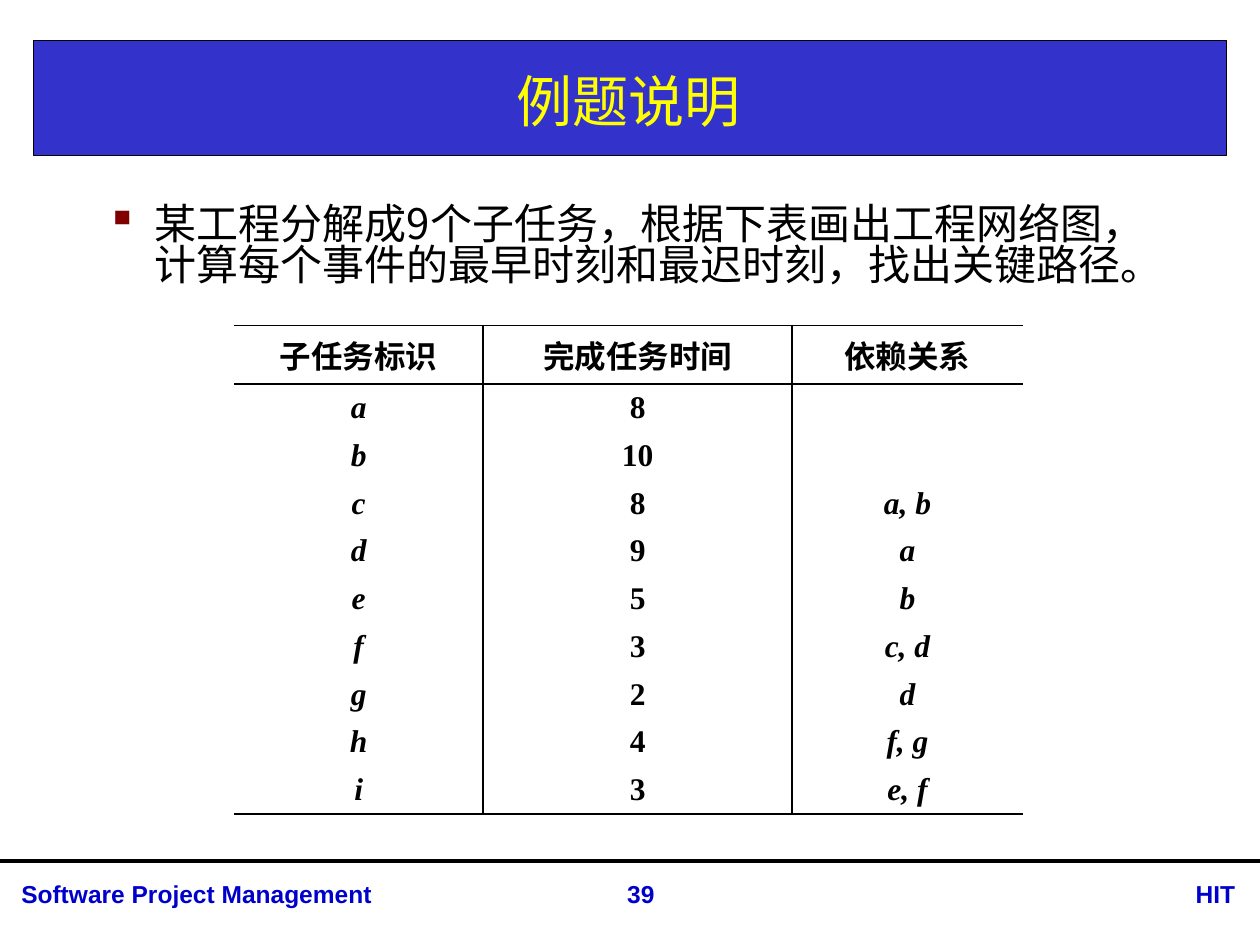
import lxml.etree
import pptx
import pptx.dml.color
import pptx.enum.shapes
import pptx.enum.text
import pptx.oxml.ns
import pptx.util

Cm = pptx.util.Cm
Pt = pptx.util.Pt
ALIGN = pptx.enum.text.PP_ALIGN
MIDDLE = pptx.enum.text.MSO_ANCHOR.MIDDLE
CJK = "Noto Sans CJK SC"
SERIF = "Times New Roman"
BLACK = "000000"

HEADINGS = ("子任务标识", "完成任务时间", "依赖关系")
TASKS = (
    ("a", "8", ""),
    ("b", "10", ""),
    ("c", "8", "a, b"),
    ("d", "9", "a"),
    ("e", "5", "b"),
    ("f", "3", "c, d"),
    ("g", "2", "d"),
    ("h", "4", "f, g"),
    ("i", "3", "e, f"),
)


def color(code):
    return pptx.dml.color.RGBColor.from_string(code)


def add_element(parent, tag, **attributes):
    return lxml.etree.SubElement(parent, pptx.oxml.ns.qn(tag), **attributes)


def style(paragraph, size, face, code, align=ALIGN.LEFT, bold=False, italic=False):
    paragraph.alignment = align
    font = paragraph.font
    font.size = Pt(size)
    font.name = face
    font.bold = bold
    font.italic = italic
    font.color.rgb = color(code)
    defaults = paragraph._p.pPr.find(pptx.oxml.ns.qn("a:defRPr"))
    add_element(defaults, "a:ea", typeface=CJK)


def add_text(slide, text, left, top, width, height):
    frame = slide.shapes.add_textbox(Cm(left), Cm(top), Cm(width), Cm(height)).text_frame
    frame.word_wrap = True
    frame.text = text
    return frame


def add_title(slide, title):
    banner = slide.shapes.add_shape(
        pptx.enum.shapes.MSO_SHAPE.RECTANGLE, Cm(0.67), Cm(0.82), Cm(24.06), Cm(2.31))
    banner.shadow.inherit = False
    banner.fill.solid()
    banner.fill.fore_color.rgb = color("3333CC")
    banner.line.color.rgb = color(BLACK)
    banner.line.width = Pt(0.75)
    frame = add_text(slide, title, 0.67, 0.92, 24, 2.21)
    frame.vertical_anchor = MIDDLE
    style(frame.paragraphs[0], 32, CJK, "FFFF00", ALIGN.CENTER)


def add_bullet(slide, exercise):
    paragraph = add_text(slide, exercise, 1.9, 4.04, 22, 2.5).paragraphs[0]
    paragraph.line_spacing = 0.82
    properties = paragraph._p.get_or_add_pPr()
    properties.set("marL", str(Cm(0.97)))
    properties.set("indent", str(-Cm(0.97)))
    bullet_color = add_element(properties, "a:buClr")
    add_element(bullet_color, "a:srgbClr", val="800000")
    add_element(properties, "a:buChar", char="▪")
    style(paragraph, 24, CJK, BLACK)


def add_borders(cell, sides):
    properties = cell._tc.get_or_add_tcPr()
    for side in "LRTB":
        if side in sides:
            border = add_element(properties, f"a:ln{side}", w=str(Pt(1)))
            fill = add_element(border, "a:solidFill")
            add_element(fill, "a:srgbClr", val=BLACK)
        else:
            border = add_element(properties, f"a:ln{side}", w="0")
            add_element(border, "a:noFill")


def border_sides(row, column, last_row, last_column):
    sides = "L" if column > 0 else ""
    if column < last_column:
        sides += "R"
    if row <= 1:
        sides += "T"
    if row in (0, last_row):
        sides += "B"
    return sides


def add_task_table(slide):
    rows = (HEADINGS,) + TASKS
    widths = (5.02, 6.23, 4.65)
    heights = [1.18] + [0.96] * len(TASKS)
    table = slide.shapes.add_table(
        len(rows), len(widths), Cm(4.72), Cm(6.56), Cm(sum(widths)), Cm(sum(heights))).table
    table.first_row = False
    table.horz_banding = False
    for column, width in zip(table.columns, widths):
        column.width = Cm(width)
    for row, height in zip(table.rows, heights):
        row.height = Cm(height)
    for r, texts in enumerate(rows):
        for c, text in enumerate(texts):
            cell = table.cell(r, c)
            cell.text = text
            cell.vertical_anchor = MIDDLE
            cell.margin_top = cell.margin_bottom = Cm(0.1)
            add_borders(cell, border_sides(r, c, len(TASKS), len(widths) - 1))
            cell.fill.background()
            style(cell.text_frame.paragraphs[0], 18, SERIF, BLACK, ALIGN.CENTER,
                  bold=True, italic=r > 0 and c != 1)


def add_footer(slide):
    rule = slide.shapes.add_connector(
        pptx.enum.shapes.MSO_CONNECTOR.STRAIGHT, 0, Cm(17.35), Cm(25.4), Cm(17.35))
    rule.line.color.rgb = color(BLACK)
    rule.line.width = Pt(2.25)
    add_element(rule._element.spPr, "a:effectLst")
    for text, left, width, align in (
        ("Software Project Management", 0.18, 11.76, ALIGN.LEFT),
        ("HIT", 22.53, 2.62, ALIGN.RIGHT),
        ("39", 11.61, 2.62, ALIGN.CENTER),
    ):
        frame = add_text(slide, text, left, 17.6, width, 0.86)
        style(frame.paragraphs[0], 14, "Arial", "0000CC", align, bold=True)


def main():
    presentation = pptx.Presentation()
    presentation.slide_width = Cm(25.4)
    presentation.slide_height = Cm(19.05)
    slide = presentation.slides.add_slide(presentation.slide_layouts[6])
    add_footer(slide)
    add_title(slide, "例题说明")
    add_bullet(slide, "某工程分解成9个子任务，根据下表画出工程网络图，"
                      "计算每个事件的最早时刻和最迟时刻，找出关键路径。")
    add_task_table(slide)
    presentation.save("out.pptx")


if __name__ == "__main__":
    main()
